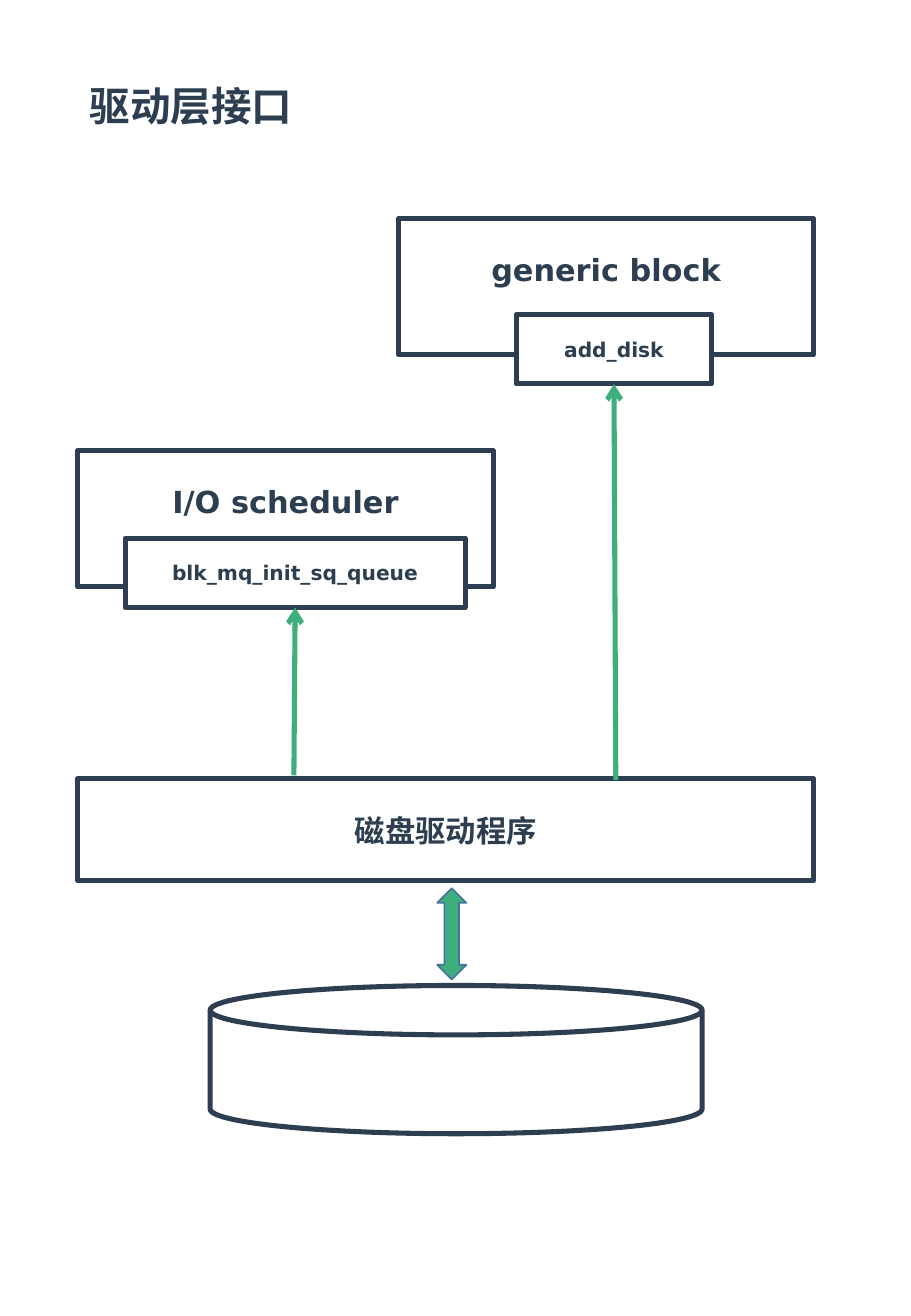
from dataclasses import dataclass

from lxml.etree import SubElement
from pptx import Presentation
from pptx.dml.color import RGBColor
from pptx.enum.shapes import MSO_CONNECTOR as Connector, MSO_SHAPE as Shape
from pptx.enum.text import MSO_ANCHOR as Anchor, PP_ALIGN as Align
from pptx.oxml.ns import qn
from pptx.util import Inches, Pt


@dataclass(frozen=True)
class Theme:
    font: str = "DejaVu Sans"
    ink: str = "2C3E50"
    green: str = "3EAF7C"
    edge: str = "43739E"
    white: str = "FFFFFF"
    title_size: int = 24
    layer_size: int = 18
    function_size: int = 12
    stroke: int = 3


THEME = Theme()

# Content: left, top, width, height in inches
TITLE = ("驱动层接口", (0.64, 0.62, 1.87, 0.5))
LAYER_SIZE = (3.42, 1.12)
FUNCTION_HEIGHT = 0.57
# layer, its left and top, function, its left, top and width, arrow start
INTERFACES = [
    ("I/O scheduler", (0.64, 3.71), "blk_mq_init_sq_queue", (1.03, 4.43, 2.8), (2.42, 6.38)),
    ("generic block", (3.28, 1.8), "add_disk", (4.25, 2.59, 1.61), (5.07, 6.42)),
]
DRIVER = ("磁盘驱动程序", (0.64, 6.41, 6.06, 0.84))
DISK = (1.73, 8.11, 4.05, 1.22)
LINK = (3.6, 7.31, 0.24, 0.75)
LIFT = 0.34  # bottom inset that raises a layer name above its function


def color(value):
    return RGBColor.from_string(value)


def write(frame, text, size, align=Align.CENTER, wrap=True, bottom=0.05):
    frame.word_wrap = wrap
    frame.margin_bottom = Inches(bottom)
    para = frame.paragraphs[0]
    para.alignment = align
    span = para.add_run()
    span.text = text
    font = span.font
    font.name, font.size, font.bold = THEME.font, Pt(size), True
    font.color.rgb = color(THEME.ink)
    SubElement(span._r.get_or_add_rPr(), qn("a:ea"), typeface=THEME.font)


def add_box(page, place, kind=Shape.RECTANGLE, fill=None, line=THEME.ink, width=THEME.stroke):
    box = page.shapes.add_shape(kind, *map(Inches, place))
    box.shadow.inherit = False
    if fill:
        box.fill.solid()
        box.fill.fore_color.rgb = color(fill)
    else:
        box.fill.background()
    box.line.color.rgb = color(line)
    box.line.width = Pt(width)
    box.text_frame.vertical_anchor = Anchor.MIDDLE
    return box


def add_arrow(page, start, target):
    x, y = map(Inches, start)
    arrow = page.shapes.add_connector(Connector.STRAIGHT, x, y, x, y)
    arrow.end_connect(target, 2)
    arrow.line.color.rgb = color(THEME.green)
    arrow.line.width = Pt(THEME.stroke)
    properties = arrow._element.spPr
    SubElement(properties.find(qn("a:ln")), qn("a:tailEnd"), type="arrow")
    SubElement(properties, qn("a:effectLst"))


def main():
    deck = Presentation()
    deck.slide_width, deck.slide_height = Inches(7.5), Inches(10.83)
    page = deck.slides.add_slide(deck.slide_layouts[6])

    # Title
    text, place = TITLE
    title = page.shapes.add_textbox(*map(Inches, place))
    write(title.text_frame, text, THEME.title_size, align=Align.LEFT, wrap=False)

    # Disk driver, disk and the link between them
    text, place = DRIVER
    write(add_box(page, place).text_frame, text, THEME.layer_size)
    add_box(page, DISK, Shape.FLOWCHART_MAGNETIC_DISK, fill=THEME.white)
    add_box(page, LINK, Shape.UP_DOWN_ARROW, fill=THEME.green, line=THEME.edge, width=1)

    # Kernel layers, the functions they offer and the driver's calls
    for layer, corner, function, (left, top, width), start in INTERFACES:
        layer_box = add_box(page, corner + LAYER_SIZE)
        write(layer_box.text_frame, layer, THEME.layer_size, bottom=LIFT)
        function_box = add_box(page, (left, top, width, FUNCTION_HEIGHT), fill=THEME.white)
        write(function_box.text_frame, function, THEME.function_size)
        add_arrow(page, start, function_box)

    deck.save("out.pptx")


if __name__ == "__main__":
    main()
